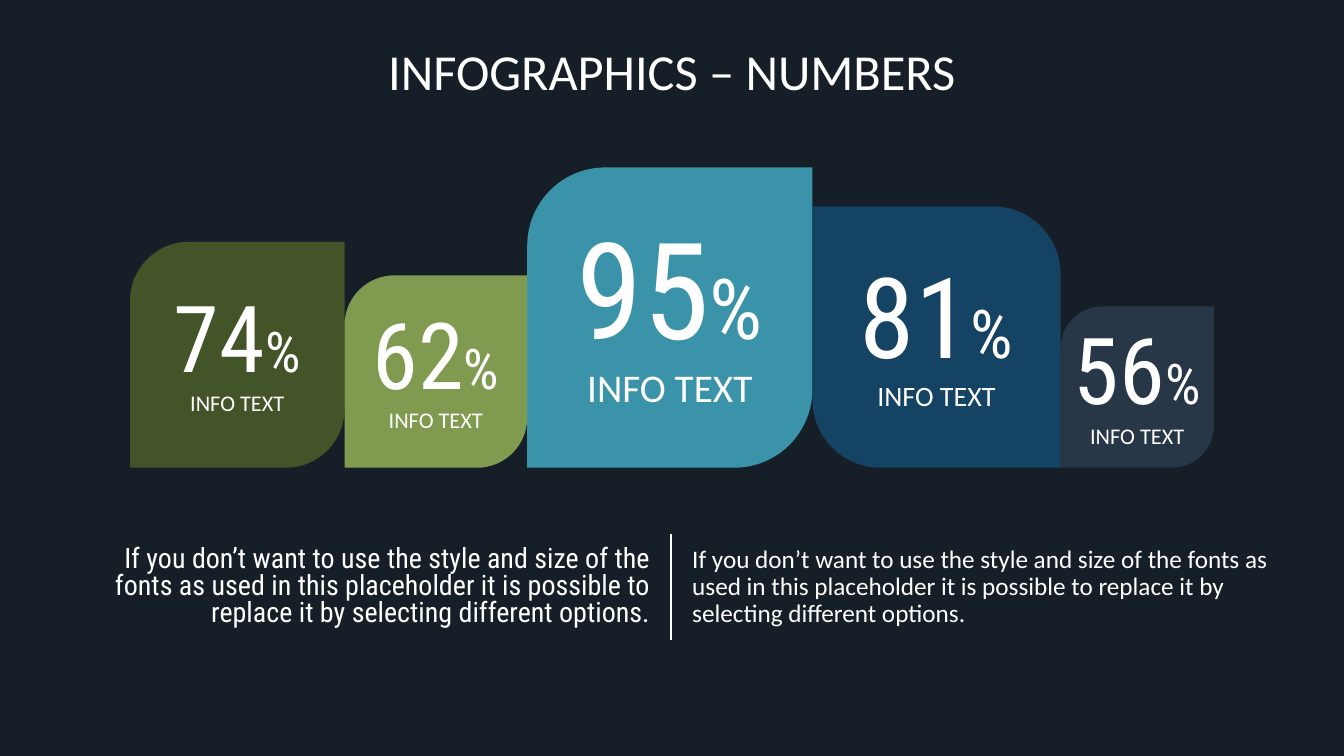
import pptx
import pptx.util
import pptx.dml.color
import pptx.enum.shapes
import pptx.enum.text
import pptx.oxml
import pptx.oxml.ns

Pt = pptx.util.Pt
ALIGN = pptx.enum.text.PP_ALIGN
ANCHOR = pptx.enum.text.MSO_ANCHOR
SHAPES = pptx.enum.shapes

WHITE = "FFFFFF"
SANS = "Calibri"
CONDENSED = "Roboto Condensed"


def colour(value):
    return pptx.dml.color.RGBColor.from_string(value)


class Slide:
    """Holds the style and the current slide."""

    def __init__(self, page, background):
        self.page = page
        page.background.fill.solid()
        page.background.fill.fore_color.rgb = colour(background)

    def style(self, font, name, size):
        font.name, font.size = name, Pt(size)
        font.color.rgb = colour(WHITE)

    def frame(self, shape, anchor, inset=None):
        frame = shape.text_frame
        frame.word_wrap = True
        frame.auto_size = pptx.enum.text.MSO_AUTO_SIZE.NONE
        frame.vertical_anchor = anchor
        if inset is not None:
            frame.margin_left = frame.margin_right = Pt(inset)
            frame.margin_top = frame.margin_bottom = Pt(inset)
        return frame

    def title(self, text, left, top, width, height):
        box = self.page.shapes.title
        box.left, box.top, box.width, box.height = map(Pt, (left, top, width, height))
        para = self.frame(box, ANCHOR.TOP, 0).paragraphs[0]
        para.text = text
        para.alignment, para.line_spacing = ALIGN.CENTER, 0.9
        self.style(para.font, SANS, 36)

    def text(self, text, left, top, width, height, name, size, align, spacing):
        box = self.page.shapes.add_textbox(*map(Pt, (left, top, width, height)))
        para = self.frame(box, ANCHOR.MIDDLE).paragraphs[0]
        para.text = text
        para.alignment, para.line_spacing, para.space_after = align, spacing, Pt(10)
        self.style(para.font, name, size)

    def divider(self, x, top, bottom):
        line = self.page.shapes.add_connector(
            SHAPES.MSO_CONNECTOR.STRAIGHT, Pt(x), Pt(top), Pt(x), Pt(bottom))
        line.line.color.rgb = colour(WHITE)
        line.line.width = Pt(1.5)
        line.element.spPr.append(pptx.oxml.parse_xml(
            f'<a:effectLst {pptx.oxml.ns.nsdecls("a")}/>'))

    def tile(self, left, top, width, height, fill, corners, number, caption, sizes):
        tile = self.page.shapes.add_shape(
            SHAPES.MSO_SHAPE.ROUND_2_DIAG_RECTANGLE, *map(Pt, (left, top, width, height)))
        tile.adjustments[0], tile.adjustments[1] = corners
        tile.shadow.inherit = False
        tile.line.fill.background()
        tile.fill.solid()
        tile.fill.fore_color.rgb = colour(fill)
        # 80 % opacity
        solid = tile.element.spPr.find(pptx.oxml.ns.qn("a:solidFill"))
        solid[0].append(pptx.oxml.parse_xml(
            f'<a:alpha {pptx.oxml.ns.nsdecls("a")} val="80000"/>'))

        para = self.frame(tile, ANCHOR.MIDDLE, 0).paragraphs[0]
        para.alignment, para.line_spacing, para.space_after = ALIGN.CENTER, 0.9, Pt(10)
        names = (CONDENSED, CONDENSED, SANS)
        for text, name, size in zip((number, "%", caption), names, sizes):
            if text == caption:
                para.add_line_break()
            span = para.add_run()
            span.text = text
            self.style(span.font, name, size)


def main():
    deck = pptx.Presentation()
    deck.slide_width, deck.slide_height = Pt(960), Pt(540)
    slide = Slide(deck.slides.add_slide(deck.slide_layouts[5]), "161F28")

    # Title
    slide.title("INFOGRAPHICS – NUMBERS", 42.5, 33.8, 875, 85)

    # Number tiles, side by side on one baseline
    baseline, ratio = 334.1, 1.053
    leaf, mirrored = (0.274, 0), (0, 0.274)
    small, medium, large = (66, 40, 16), (80, 48, 20), (96, 60, 28)
    left = 92.9
    for number, width, fill, corners, sizes in (
        ("74", 153.2, "4F6228", leaf, small),
        ("62", 130.5, "9BBB59", leaf, small),
        ("95", 203.7, "45B1CB", leaf, large),
        ("81", 177.3, "144D73", mirrored, medium),
        ("56", 109.5, "2C3E50", leaf, small),
    ):
        height = width * ratio
        slide.tile(left, baseline - height, width, height, fill, corners,
                   number, "INFO TEXT", sizes)
        left += width

    # Explanations on both sides of the divider
    note = ("If you don’t want to use the style and size of the fonts as used in this "
            "placeholder it is possible to replace it by selecting different options.")
    top, width, height = 381.6, 429.1, 75.6
    slide.divider(479.5, top, top + height)
    slide.text(note, 42.5, top, width, height, CONDENSED, 20, ALIGN.RIGHT, 0.8)
    slide.text(note, 487.4, top, width, height, SANS, 18, ALIGN.LEFT, 0.9)

    deck.save("out.pptx")


if __name__ == "__main__":
    main()
